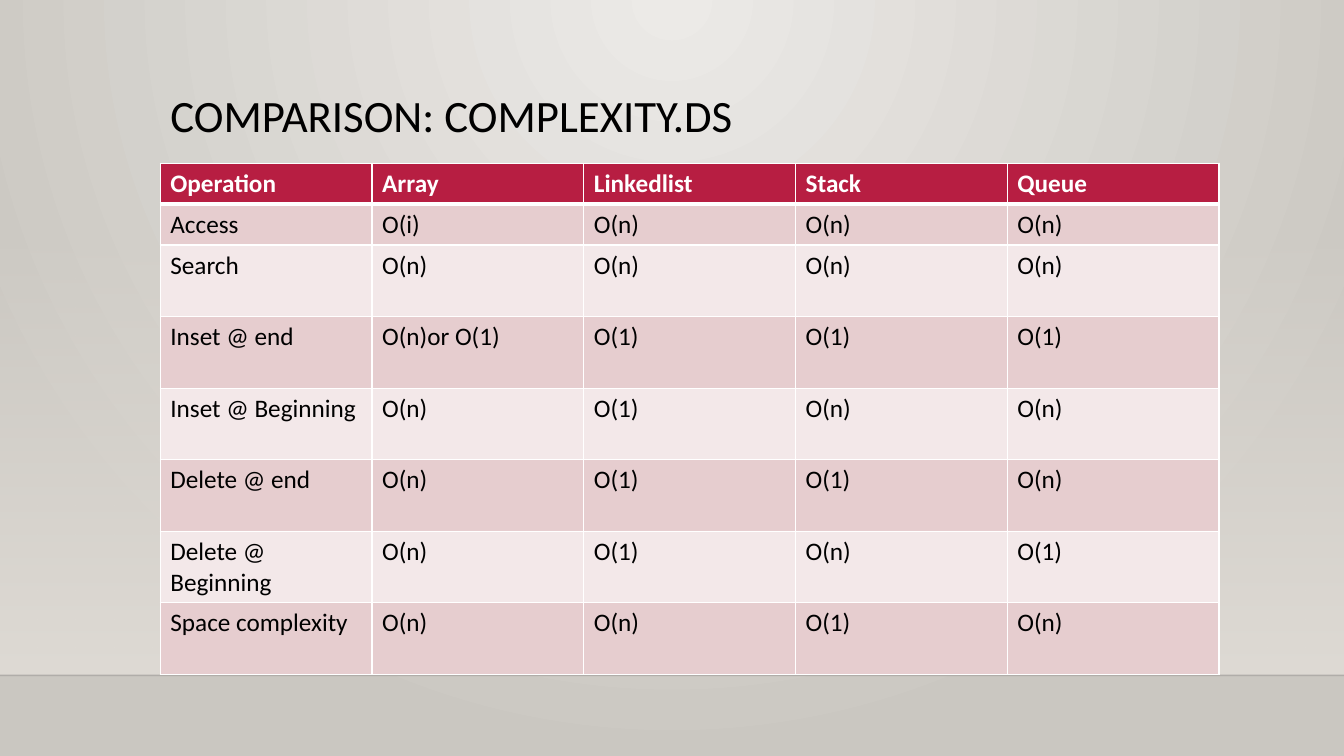
from lxml import etree
from pptx import Presentation
from pptx import util as u
from pptx.dml.color import RGBColor
from pptx.enum import shapes, text
from pptx.oxml.ns import qn

PX = 9144
FONT = "Calibri"
RED, PINK, PALE = "B71E42", "E6CDCF", "F3E8E9"
WHITE, BLACK = "FFFFFF", "000000"
TABLE_LEFT, TABLE_TOP, COLUMN_WIDTH = 159, 162, 210
SHORT_ROW, TALL_ROW = 40, 71
ROWS = [
    ["Operation", "Array", "Linkedlist", "Stack", "Queue"],
    ["Access", "O(i)", "O(n)", "O(n)", "O(n)"],
    ["Search", "O(n)", "O(n)", "O(n)", "O(n)"],
    ["Inset @ end", "O(n)or O(1)", "O(1)", "O(1)", "O(1)"],
    ["Inset @ Beginning", "O(n)", "O(1)", "O(n)", "O(n)"],
    ["Delete @ end", "O(n)", "O(1)", "O(1)", "O(n)"],
    ["Delete @ Beginning", "O(n)", "O(1)", "O(n)", "O(1)"],
    ["Space complexity", "O(n)", "O(n)", "O(1)", "O(n)"],
]


def px(*lengths):
    """Turn pixel lengths into EMU."""
    return [u.Emu(length * PX) for length in lengths]


def color(value):
    """Turn a hex string into a colour."""
    return RGBColor.from_string(value)


def style_text(para, size, value, bold=False):
    """Format every run of a paragraph."""
    for span in para.runs:
        span.font.name = FONT
        span.font.size = u.Pt(size)
        span.font.bold = bold
        span.font.color.rgb = color(value)


def set_alpha(element, percent):
    """Set the opacity of the first colour inside an element."""
    first = next(element.iter(qn("a:srgbClr")))
    etree.SubElement(first, qn("a:alpha"), val=str(percent * 1000))


def fill_gradient(fill, start, end):
    """Give a fill two gradient stops running downwards."""
    fill.gradient()
    fill.gradient_angle = 270
    for stop, value, position in zip(fill.gradient_stops, (start, end), (0, 1)):
        stop.color.rgb = color(value)
        stop.position = position


def paint_background(page):
    """Paint a radial glow that starts at the top centre."""
    fill_gradient(page.background.fill, "ECEAE7", "CAC7C1")
    linear = next(page.element.iter(qn("a:lin")))
    glow = etree.Element(qn("a:path"), attrib={"path": "circle"})
    etree.SubElement(glow, qn("a:fillToRect"), l="43000", t="0", r="43000", b="100000")
    linear.getparent().replace(linear, glow)


def add_wall(page):
    """Add the fading wall and the floor line below it."""
    wall = page.shapes.add_shape(shapes.MSO_SHAPE.RECTANGLE, *px(0, 221, 1333, 449))
    wall.shadow.inherit = False
    wall.line.fill.background()
    fill_gradient(wall.fill, "DFDBD5", "DFDBD5")
    set_alpha(wall.element, 0)
    floor = page.shapes.add_connector(shapes.MSO_CONNECTOR.STRAIGHT, *px(0, 670, 1333, 670))
    floor.line.width = u.Pt(1)
    floor.line.color.rgb = color("000001")
    set_alpha(floor.element, 20)
    etree.SubElement(floor.element.spPr, qn("a:effectLst"))


def set_title(page, wording):
    """Place and format the title."""
    box = page.shapes.title
    box.left, box.top, box.width, box.height = px(159, 88, 1050, 115)
    frame = box.text_frame
    frame.text = wording
    frame.word_wrap = True
    frame.vertical_anchor = text.MSO_ANCHOR.TOP
    para = frame.paragraphs[0]
    para.alignment = text.PP_ALIGN.LEFT
    para.line_spacing = 0.9
    style_text(para, 32, BLACK)


def add_border(cell, side, points):
    """Draw one white cell border."""
    properties = cell._tc.get_or_add_tcPr()
    line = etree.SubElement(properties, qn("a:ln" + side), w=str(u.Pt(points)))
    fill = etree.SubElement(line, qn("a:solidFill"))
    etree.SubElement(fill, qn("a:srgbClr"), val=WHITE)


def fill_cell(cell, wording, row):
    """Write and format one cell according to its row."""
    header = row == 0
    widths = {"L": 1, "R": 1, "T": 3 if row == 1 else 1, "B": 3 if header else 1}
    for side, points in widths.items():
        add_border(cell, side, points)
    cell.fill.solid()
    cell.fill.fore_color.rgb = color(RED if header else PINK if row % 2 else PALE)
    cell.text_frame.text = wording
    style_text(cell.text_frame.paragraphs[0], 18, WHITE if header else BLACK, header)


def add_comparison(page):
    """Add the table of complexities."""
    heights = [SHORT_ROW if row < 2 else TALL_ROW for row in range(len(ROWS))]
    count = len(ROWS[0])
    area = px(TABLE_LEFT, TABLE_TOP, COLUMN_WIDTH * count, sum(heights))
    table = page.shapes.add_table(len(ROWS), count, *area).table
    for row, (wordings, height) in enumerate(zip(ROWS, heights)):
        table.rows[row].height = px(height)[0]
        for column, wording in enumerate(wordings):
            fill_cell(table.cell(row, column), wording, row)


def main():
    """Build and save the slide."""
    deck = Presentation()
    deck.slide_width, deck.slide_height = px(1333, 750)
    page = deck.slides.add_slide(deck.slide_layouts.get_by_name("Title Only"))
    paint_background(page)
    add_wall(page)
    set_title(page, "COMPARISON: COMPLEXITY.DS")
    add_comparison(page)
    deck.save("out.pptx")


if __name__ == "__main__":
    main()
